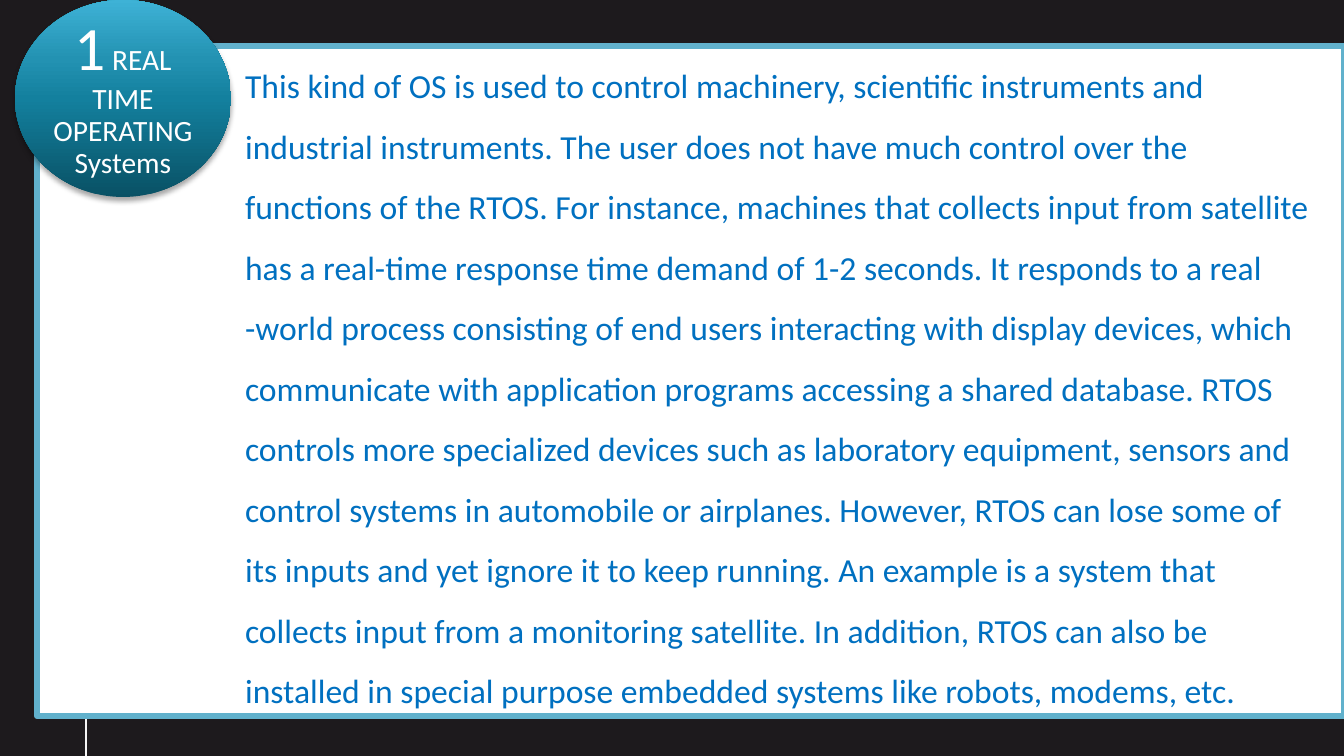
from copy import deepcopy

from lxml import etree
from pptx import Presentation
from pptx import util as u
from pptx.dml.color import RGBColor
from pptx.enum import shapes, text
from pptx.oxml import ns

PX = u.Inches(13.3333) / 1344
NIGHT = RGBColor(0x1D, 0x1A, 0x1D)
WHITE = RGBColor(0xFF, 0xFF, 0xFF)
SMOKE = RGBColor(0xF5, 0xF5, 0xF5)
SKY = RGBColor(0x61, 0xB1, 0xCC)
BLUE = RGBColor(0x00, 0x70, 0xC0)
BADGE_STOPS = [
    (0, RGBColor(0x09, 0x51, 0x65)),
    (0.5, RGBColor(0x13, 0x80, 0x9E)),
    (0.7, RGBColor(0x23, 0x92, 0xB2)),
    (1, RGBColor(0x3E, 0xB2, 0xD6)),
]
SENTENCES = [
    "This kind of OS is used to control machinery, scientific instruments and "
    "industrial instruments.",
    "The user does not have much control over the functions of the RTOS.",
    "For instance, machines that collects input from satellite has a real-time "
    "response time demand of 1-2 seconds.",
    "It responds to a real -world process consisting of end users interacting "
    "with display devices, which communicate with application programs "
    "accessing a shared database.",
    "RTOS controls more specialized devices such as laboratory equipment, "
    "sensors and control systems in automobile or airplanes.",
    "However, RTOS can lose some of its inputs and yet ignore it to keep running.",
    "An example is a system that collects input from a monitoring satellite.",
    "In addition, RTOS can also be installed in special purpose embedded "
    "systems like robots, modems, etc.",
]


def px(*lengths):
    return [round(length * PX) for length in lengths]


def apply(target, values):
    for name, value in values.items():
        setattr(target, name, value)


def add_run(paragraph, words, size, color):
    run = paragraph.add_run()
    run.text = words
    apply(run.font, {"name": "Calibri", "size": u.Pt(size), "bold": False})
    run.font.color.rgb = color


def add_rail(slide, x, top, bottom):
    rail = slide.shapes.add_connector(
        shapes.MSO_CONNECTOR.STRAIGHT, *px(x, top, x, bottom))
    rail.line.color.rgb = SMOKE
    rail.line.width = u.Pt(2)
    etree.SubElement(rail._element.spPr, ns.qn("a:effectLst"))


def add_panel(slide, box):
    panel = slide.shapes.add_shape(shapes.MSO_SHAPE.RECTANGLE, *px(*box))
    panel.shadow.inherit = False
    panel.fill.solid()
    panel.fill.fore_color.rgb = WHITE
    panel.line.color.rgb = SKY
    panel.line.width = u.Pt(4.33)


def add_badge(slide, box):
    badge = slide.shapes.add_shape(shapes.MSO_SHAPE.OVAL, *px(*box))
    badge.line.fill.background()
    badge.fill.gradient()
    badge.fill.gradient_angle = 90
    properties = badge._element.spPr
    stops = properties.find(".//" + ns.qn("a:gsLst"))
    while len(stops) < len(BADGE_STOPS):
        stops.append(deepcopy(stops[0]))
    for stop, (position, color) in zip(badge.fill.gradient_stops, BADGE_STOPS):
        stop.position = position
        stop.color.rgb = color
    badge.shadow.inherit = False
    effects = properties.find(ns.qn("a:effectLst"))
    shadow = etree.SubElement(
        effects, ns.qn("a:outerShdw"), blurRad=str(u.Pt(4)),
        dist=str(u.Pt(3)), dir="5400000", rotWithShape="0")
    tint = etree.SubElement(shadow, ns.qn("a:srgbClr"), val="000000")
    etree.SubElement(tint, ns.qn("a:alpha"), val="35000")


def add_badge_label(slide, box):
    frame = slide.shapes.add_textbox(*px(*box)).text_frame
    apply(frame, {
        "word_wrap": True, "vertical_anchor": text.MSO_ANCHOR.MIDDLE,
        "margin_left": 0, "margin_top": 0, "margin_right": 0, "margin_bottom": 0,
    })
    label = frame.paragraphs[0]
    apply(label, {"alignment": text.PP_ALIGN.CENTER, "line_spacing": 0.9})
    add_run(label, "1", 44, WHITE)
    add_run(label, " REAL TIME OPERATING Systems", 21, WHITE)


def fill_title(slide, box):
    title = slide.shapes.title
    apply(title, dict(zip(("left", "top", "width", "height"), px(*box))))
    frame = title.text_frame
    apply(frame, {
        "word_wrap": True, "auto_size": text.MSO_AUTO_SIZE.NONE,
        "vertical_anchor": text.MSO_ANCHOR.TOP,
    })
    explanation = frame.paragraphs[0]
    apply(explanation, {"alignment": text.PP_ALIGN.LEFT, "line_spacing": 1.5})
    add_run(explanation, " ".join(SENTENCES), 24, BLUE)
    slide.shapes._spTree.append(title._element)


def main():
    deck = Presentation()
    deck.slide_width, deck.slide_height = px(1344, 756)
    slide = deck.slides.add_slide(deck.slide_layouts[0])
    subtitle = slide.placeholders[1]._element
    subtitle.getparent().remove(subtitle)
    slide.background.fill.solid()
    slide.background.fill.fore_color.rgb = NIGHT
    add_rail(slide, 86, 139, 756)
    add_panel(slide, (37, 46, 1307, 670))
    add_badge(slide, (15, 0, 216, 197))
    add_badge_label(slide, (47, 29, 152, 139))
    fill_title(slide, (235, 40, 1087, 491))
    deck.save("out.pptx")


if __name__ == "__main__":
    main()
